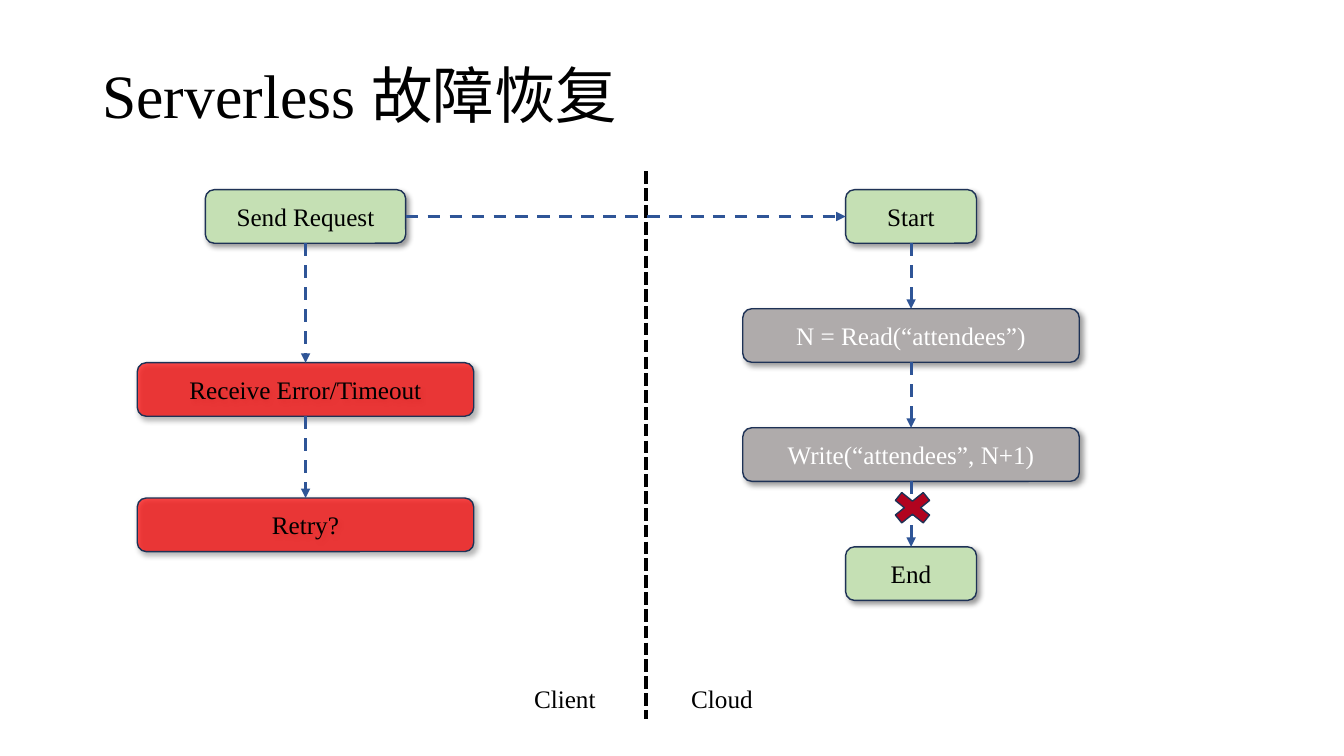
"""Build the slide on serverless failure recovery: client and cloud request flows."""
from lxml import etree
from pptx import Presentation
from pptx.dml.color import RGBColor
from pptx.enum.dml import MSO_LINE
from pptx.enum.shapes import MSO_CONNECTOR, MSO_SHAPE
from pptx.enum.text import MSO_ANCHOR, MSO_AUTO_SIZE, PP_ALIGN
from pptx.oxml import parse_xml
from pptx.oxml.ns import nsdecls, qn
from pptx.util import Cm, Pt

BLACK = RGBColor(0x00, 0x00, 0x00)
WHITE = RGBColor(0xFF, 0xFF, 0xFF)
GREEN = RGBColor(0xC5, 0xE0, 0xB4)
GRAY = RGBColor(0xAF, 0xAB, 0xAB)
RED = RGBColor(0xFF, 0x00, 0x00)
CRIMSON = RGBColor(0xB1, 0x03, 0x1F)
NAVY = RGBColor(0x1E, 0x32, 0x56)
BLUE = RGBColor(0x2F, 0x55, 0x97)

CLIENT_X, CLOUD_X, DIVIDER_X = 7.7, 22.96, 16.28
TOP, CLOUD_STEP, STEP_HEIGHT = 4.78, 3.0, 1.35
NARROW, MEDIUM, WIDE = 3.3, 5.05, 8.48
SHADOW = (
    f'<a:effectLst {nsdecls("a")}><a:outerShdw blurRad="{Pt(4)}" dist="{Pt(3)}" '
    'dir="2700000" algn="tl" rotWithShape="0"><a:srgbClr val="000000">'
    '<a:alpha val="40000"/></a:srgbClr></a:outerShdw></a:effectLst>'
)


def write(shape, text, size, color, align):
    paragraph = shape.text_frame.paragraphs[0]
    paragraph.text = text
    paragraph.alignment = align
    paragraph.font.name = "Times New Roman"
    paragraph.font.size = Pt(size)
    paragraph.font.color.rgb = color
    return paragraph


def style_line(connector, color, width, dash):
    connector.line.color.rgb = color
    connector.line.width = Pt(width)
    connector.line.dash_style = dash
    etree.SubElement(connector._element.spPr, qn("a:effectLst"))


prs = Presentation()
prs.slide_width, prs.slide_height = Cm(33.87), Cm(19.05)
slide = prs.slides.add_slide(prs.slide_layouts[6])
shapes = slide.shapes

title = shapes.add_textbox(Cm(2.33), Cm(0.64), Cm(29.21), Cm(3.68))
title.text_frame.word_wrap = True
title.text_frame.vertical_anchor = MSO_ANCHOR.MIDDLE
write(title, "Serverless 故障恢复", 44, BLACK, PP_ALIGN.LEFT).line_spacing = 0.9

steps = {}
for text, center, top, width, fill, color in [
    ("Send Request", CLIENT_X, TOP, MEDIUM, GREEN, BLACK),
    ("Receive Error/Timeout", CLIENT_X, 9.14, WIDE, RED, BLACK),
    ("Retry?", CLIENT_X, 12.55, WIDE, RED, BLACK),
    ("Start", CLOUD_X, TOP, NARROW, GREEN, BLACK),
    ("N = Read(“attendees”)", CLOUD_X, TOP + CLOUD_STEP, WIDE, GRAY, WHITE),
    ("Write(“attendees”, N+1)", CLOUD_X, TOP + 2 * CLOUD_STEP, WIDE, GRAY, WHITE),
    ("End", CLOUD_X, TOP + 3 * CLOUD_STEP, NARROW, GREEN, BLACK),
]:
    step = shapes.add_shape(MSO_SHAPE.ROUNDED_RECTANGLE, Cm(center - width / 2),
                            Cm(top), Cm(width), Cm(STEP_HEIGHT))
    step.fill.solid()
    step.fill.fore_color.rgb = fill
    if fill == RED:
        red_fill = step._element.spPr.find(qn("a:solidFill"))
        etree.SubElement(red_fill[0], qn("a:alpha"), val="70000")
    step.line.color.rgb = NAVY
    step.line.width = Pt(1)
    step._element.spPr.append(parse_xml(SHADOW))
    step.text_frame.vertical_anchor = MSO_ANCHOR.MIDDLE
    write(step, text, 18, color, PP_ALIGN.CENTER)
    steps[text] = step

divider = shapes.add_connector(MSO_CONNECTOR.STRAIGHT, Cm(DIVIDER_X), Cm(4.32),
                               Cm(DIVIDER_X), Cm(18.11))
style_line(divider, BLACK, 3, MSO_LINE.SQUARE_DOT)

for side, left in [("Client", 13.21), ("Cloud", 17.17)]:
    label = shapes.add_textbox(Cm(left), Cm(17.09), Cm(2.08), Cm(1.02))
    label.text_frame.word_wrap = False
    label.text_frame.auto_size = MSO_AUTO_SIZE.SHAPE_TO_FIT_TEXT
    write(label, side, 18, BLACK, PP_ALIGN.LEFT)

for source, source_side, target, target_side in [
    ("Send Request", 3, "Start", 1),
    ("Send Request", 2, "Receive Error/Timeout", 0),
    ("Receive Error/Timeout", 2, "Retry?", 0),
    ("Start", 2, "N = Read(“attendees”)", 0),
    ("N = Read(“attendees”)", 2, "Write(“attendees”, N+1)", 0),
    ("Write(“attendees”, N+1)", 2, "End", 0),
]:
    arrow = shapes.add_connector(MSO_CONNECTOR.STRAIGHT, 0, 0, 0, 0)
    arrow.begin_connect(steps[source], source_side)
    arrow.end_connect(steps[target], target_side)
    style_line(arrow, BLUE, 2.25, MSO_LINE.DASH)
    etree.SubElement(arrow.line._get_or_add_ln(), qn("a:tailEnd"), type="triangle")

failure = shapes.add_shape(MSO_SHAPE.MATH_MULTIPLY, Cm(22.45), Cm(12.12),
                           Cm(1.09), Cm(1.35))
failure.rotation = 90
failure.shadow.inherit = False
failure.fill.solid()
failure.fill.fore_color.rgb = CRIMSON
failure.line.color.rgb = NAVY
failure.line.width = Pt(1)

prs.save("out.pptx")
